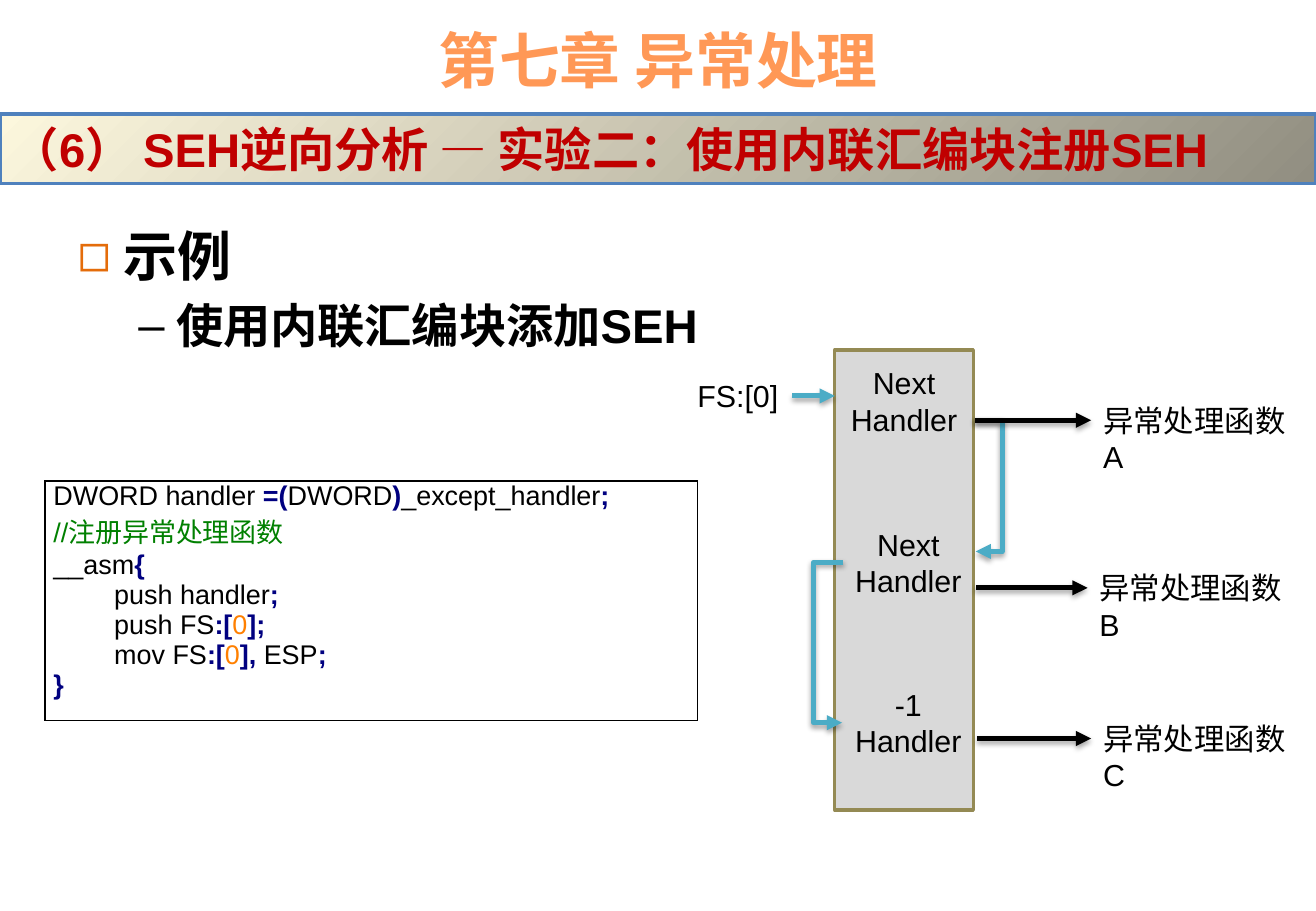
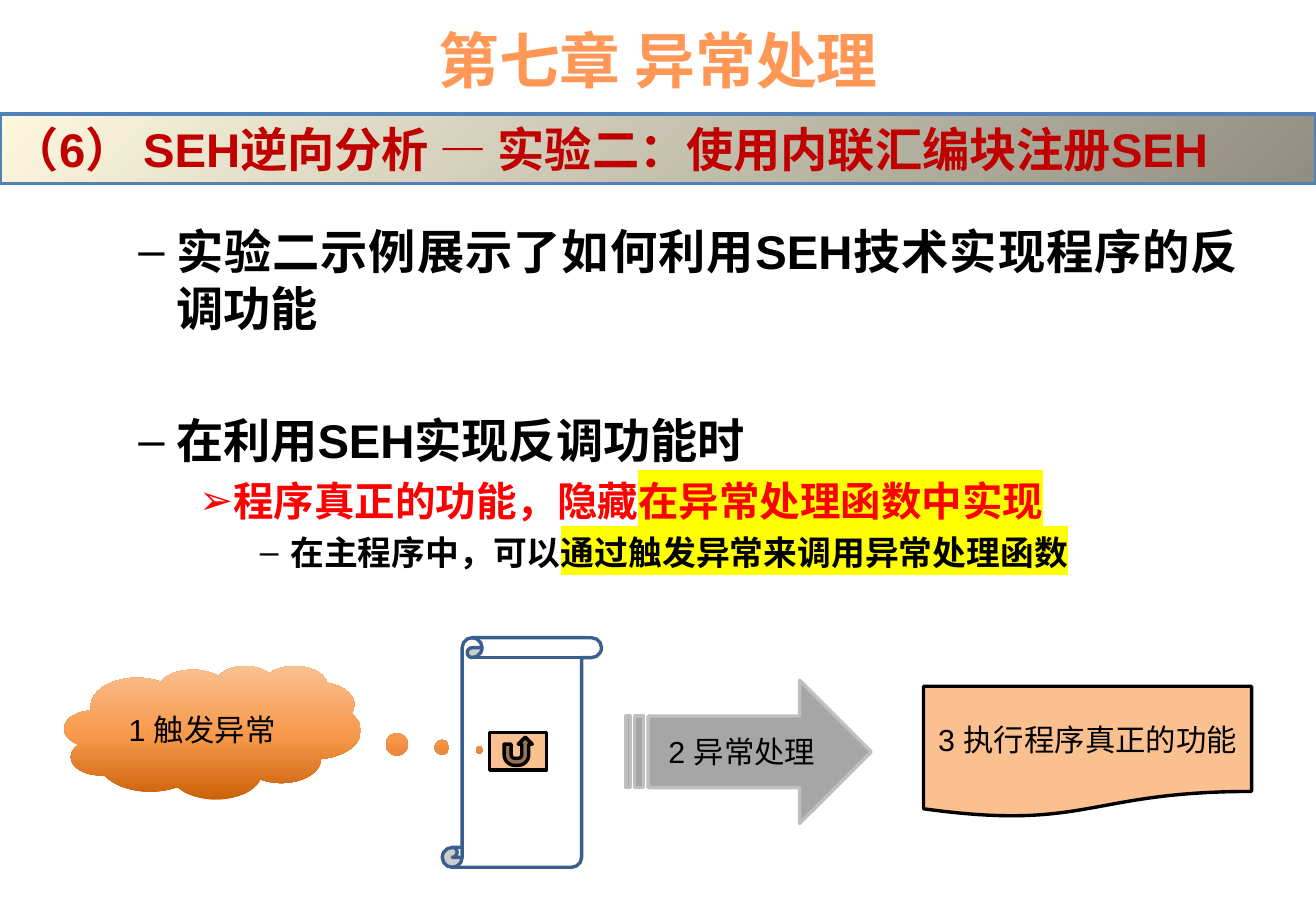
from pptx import Presentation
from pptx.dml.color import RGBColor
from pptx.enum.shapes import MSO_CONNECTOR, MSO_SHAPE
from pptx.enum.text import MSO_ANCHOR, PP_ALIGN
from pptx.oxml import parse_xml
from pptx.oxml.ns import nsdecls, qn
from pptx.util import Inches, Pt

C = {
    "title": "FF9856", "heading": "C00000", "band_line": "4F81BD",
    "band_light": "FCF7DD", "band_dark": "918E81",
    "black": "000000", "white": "FFFFFF", "red": "FF0000", "yellow": "FFFF00",
    "bullet": "E46C0A", "navy": "000080", "green": "008000", "number": "FF8000",
    "stack": "D9D9D9", "stack_line": "948A54", "teal": "4BACC6",
    "scroll_line": "3A5F8C", "peach": "FAC090",
    "arrow": "A6A6A6", "arrow_line": "BFBFBF",
    "cloud_dark": "CC6109", "cloud_mid": "F7994C",
}
NS = nsdecls("a")


def write(tf, text, size=18, color="black", bold=False, align=None, highlight=None,
          bullet=None, bullet_color=None, left=0, hang=0, before=0):
    """Add a paragraph; text is a string or a list of (text, run overrides)."""
    p = tf.add_paragraph() if tf.text else tf.paragraphs[0]
    if bullet:
        pPr = p._p.get_or_add_pPr()
        pPr.set("marL", str(Inches(left)))
        pPr.set("indent", str(-Inches(hang)))
        if bullet_color:
            pPr.append(parse_xml(f'<a:buClr {NS}><a:srgbClr val="{C[bullet_color]}"/></a:buClr>'))
        pPr.append(parse_xml(f'<a:buFont {NS} typeface="Arial"/>'))
        pPr.append(parse_xml(f'<a:buChar {NS} char="{bullet}"/>'))
    p.alignment = align
    if before:
        p.space_before = Pt(before)
    base = dict(color=color, bold=bold, highlight=highlight)
    for part, changes in [(text, {})] if isinstance(text, str) else text:
        fmt = {**base, **changes}
        r = p.add_run()
        r.text = part
        r.font.size = Pt(size)
        r.font.bold = fmt["bold"]
        r.font.color.rgb = RGBColor.from_string(C[fmt["color"]])
        r.font.name = "Arial"
        if fmt["highlight"]:
            r.font._element.find(qn("a:latin")).addprevious(parse_xml(
                f'<a:highlight {NS}><a:srgbClr val="{C[fmt["highlight"]]}"/></a:highlight>'))


def add_box(s, kind, x, y, w, h, fill, line=None, shade=""):
    """Add a preset shape; fill is a colour or a list of gradient stops."""
    sp = s.shapes.add_shape(kind, Inches(x), Inches(y), Inches(w), Inches(h))
    sp.shadow.inherit = False
    if isinstance(fill, str):
        sp.fill.solid()
        sp.fill.fore_color.rgb = RGBColor.from_string(C[fill])
    else:
        sp.fill.gradient()
        stops = "".join(f'<a:gs pos="{pos * 1000}"><a:srgbClr val="{C[c]}"/></a:gs>'
                        for pos, c in fill)
        spPr = sp._element.spPr
        spPr.replace(spPr.find(qn("a:gradFill")), parse_xml(
            f'<a:gradFill {NS} rotWithShape="1"><a:gsLst>{stops}</a:gsLst>{shade}</a:gradFill>'))
    if line:
        sp.line.color.rgb = RGBColor.from_string(C[line])
        sp.line.width = Pt(2)
    else:
        sp.line.fill.background()
    return sp


prs = Presentation()
prs.slide_width, prs.slide_height = Inches(10.83), Inches(7.5)

# Shared title, heading band and body box
slides, bodies = [], []
for _ in range(2):
    s = prs.slides.add_slide(prs.slide_layouts[5])
    title = s.shapes.title
    title.left, title.top = Inches(0.54), Inches(0.13)
    title.width, title.height = Inches(9.75), Inches(0.71)
    title.text_frame.vertical_anchor = MSO_ANCHOR.MIDDLE
    write(title.text_frame, "第七章 异常处理", size=36, color="title", bold=True,
          align=PP_ALIGN.CENTER)
    body = s.shapes.add_textbox(Inches(0.54), Inches(1.78), Inches(9.75), Inches(4.09))
    body.text_frame.word_wrap = True
    band = add_box(s, MSO_SHAPE.RECTANGLE, 0, 0.94, 10.83, 0.57,
                   [(0, "band_light"), (100, "band_dark")], "band_line",
                   '<a:path path="circle"><a:fillToRect r="100000" b="100000"/></a:path>')
    band.text_frame.vertical_anchor = MSO_ANCHOR.TOP
    write(band.text_frame, "（6） SEH逆向分析 — 实验二：使用内联汇编块注册SEH",
          size=28, color="heading", bold=True, align=PP_ALIGN.LEFT)
    slides.append(s)
    bodies.append(body.text_frame)

dash = dict(size=28, bold=True, bullet="–", left=0.81, hang=0.31)

# Slide 1: bullets
s, tf = slides[0], bodies[0]
write(tf, "示例", size=32, bold=True, bullet="◻", bullet_color="bullet", left=0.38, hang=0.38)
write(tf, "使用内联汇编块添加SEH", before=5.6, **dash)

# Slide 1: code in a one-cell table
code = [
    [("DWORD handler ", "black"), ("=(", "navy"), ("DWORD", "black"), (")", "navy"),
     ("_except_handler", "black"), (";", "navy")],
    [("//注册异常处理函数", "green")],
    [("__asm", "black"), ("{", "navy")],
    [("\tpush handler", "black"), (";", "navy")],
    [("\tpush FS", "black"), (":[", "navy"), ("0", "number"), ("];", "navy")],
    [("\tmov FS", "black"), (":[", "navy"), ("0", "number"), ("],", "navy"),
     (" ESP", "black"), (";", "navy")],
    [("}", "navy")],
]
table = s.shapes.add_table(1, 1, Inches(0.37), Inches(3.96), Inches(5.37), Inches(1.97)).table
table.first_row = table.horz_banding = False
cell = table.cell(0, 0)
cell.margin_left = cell.margin_right = Inches(0.07)
cell.margin_top = cell.margin_bottom = 0
for side in "LRTB":
    cell._tc.get_or_add_tcPr().append(parse_xml(
        f'<a:ln{side} {NS} w="12700"><a:solidFill><a:srgbClr val="{C["black"]}"/>'
        f'</a:solidFill></a:ln{side}>'))
cell.fill.background()
for tokens in code:
    write(cell.text_frame, [(t, dict(color=c, bold=c == "navy")) for t, c in tokens], size=16)

# Slide 1: handler chain on the stack
add_box(s, MSO_SHAPE.RECTANGLE, 6.87, 2.88, 1.14, 3.79, "stack", "stack_line")
labels = {}
for x, y, w, h, lines, align in [
    (5.64, 3.06, 0.88, 0.4, ["FS:[0]"], None),
    (8.98, 3.26, 1.8, 0.4, ["异常处理函数A"], None),
    (8.95, 4.64, 1.8, 0.4, ["异常处理函数B"], None),
    (8.98, 5.88, 1.8, 0.4, ["异常处理函数C"], None),
    (6.87, 2.95, 1.14, 0.71, ["Next", "Handler"], PP_ALIGN.CENTER),
    (6.93, 4.28, 1.09, 0.71, ["Next", "Handler"], PP_ALIGN.CENTER),
    (6.93, 5.6, 1.09, 0.71, ["-1", "Handler"], PP_ALIGN.CENTER),
]:
    label = s.shapes.add_textbox(Inches(x), Inches(y), Inches(w), Inches(h))
    label.text_frame.word_wrap = len(lines) > 1 or x > 8
    for line in lines:
        write(label.text_frame, line, align=align)
    labels[lines[0][-1]] = label

# Slide 1: arrows (x1, y1, x2, y2, colour, bend, label at start, label at end)
for x1, y1, x2, y2, color, bend, start, end in [
    (6.52, 3.26, 6.87, 3.26, "teal", None, "]", None),
    (8.02, 3.46, 8.03, 4.54, "teal", 23, None, None),
    (6.94, 4.63, 6.93, 5.95, "teal", 25, None, None),
    (8.02, 3.46, 8.98, 3.46, "black", None, None, "A"),
    (8.03, 4.84, 8.95, 4.84, "black", None, None, "B"),
    (8.04, 6.08, 8.98, 6.08, "black", None, None, "C"),
]:
    kind = MSO_CONNECTOR.ELBOW if bend else MSO_CONNECTOR.STRAIGHT
    cxn = s.shapes.add_connector(kind, Inches(x1), Inches(y1), Inches(x2), Inches(y2))
    if start:
        cxn.begin_connect(labels[start], 3)
    if end:
        cxn.end_connect(labels[end], 1)
    cxn.line.color.rgb = RGBColor.from_string(C[color])
    cxn.line.width = Pt(3)
    spPr = cxn._element.spPr
    if bend:
        spPr.find(qn("a:prstGeom")).find(qn("a:avLst")).append(
            parse_xml(f'<a:gd {NS} name="adj1" fmla="val {bend * 100000}"/>'))
    spPr.find(qn("a:ln")).append(parse_xml(f'<a:tailEnd {NS} type="triangle"/>'))
    spPr.append(parse_xml(
        f'<a:effectLst {NS}><a:outerShdw blurRad="40000" dist="23000" dir="5400000" rotWithShape="0">'
        f'<a:srgbClr val="{C["black"]}"><a:alpha val="35000"/></a:srgbClr></a:outerShdw></a:effectLst>'))

# Slide 2: bullets
s, tf = slides[1], bodies[1]
marked = dict(highlight="yellow")
justify = PP_ALIGN.JUSTIFY
write(tf, "实验二示例展示了如何利用SEH技术实现程序的反调功能", align=justify, **dash)
write(tf, "在利用SEH实现反调功能时", align=justify, before=45, **dash)
write(tf, [("程序真正的功能，隐藏", {}), ("在异常处理函数中实现", marked)], size=24, color="red",
      bold=True, align=justify, bullet="➢", left=1.25, hang=0.25, before=4.8)
write(tf, [("在主程序中，可以", {}), ("通过触发异常来调用异常处理函数", marked)], size=20,
      bold=True, align=justify, bullet="–", left=1.75, hang=0.25, before=4)

# Slide 2: flow from exception to real function
add_box(s, MSO_SHAPE.VERTICAL_SCROLL, 3.64, 5.25, 1.31, 1.89, "white", "scroll_line")
add_box(s, MSO_SHAPE.ACTION_BUTTON_RETURN, 4.03, 6.03, 0.47, 0.31, "peach", "black")
document = add_box(s, MSO_SHAPE.FLOWCHART_DOCUMENT, 7.6, 5.65, 2.7, 1.08, "peach", "black")
arrow = add_box(s, MSO_SHAPE.STRIPED_RIGHT_ARROW, 5.15, 5.6, 2.02, 1.18, "arrow", "arrow_line")
cloud = add_box(s, MSO_SHAPE.CLOUD_CALLOUT, 0.53, 5.48, 2.44, 1.1,
                [(0, "cloud_dark"), (48, "cloud_mid"), (100, "peach")],
                shade='<a:lin ang="16200000" scaled="0"/>')
cloud.adjustments[0], cloud.adjustments[1] = 0.9, 0.13
for sp, text in [(cloud, "1 触发异常"), (arrow, "2 异常处理"), (document, "3 执行程序真正的功能")]:
    sp.text_frame.vertical_anchor = MSO_ANCHOR.MIDDLE
    write(sp.text_frame, text, align=PP_ALIGN.CENTER)

prs.save("out.pptx")
